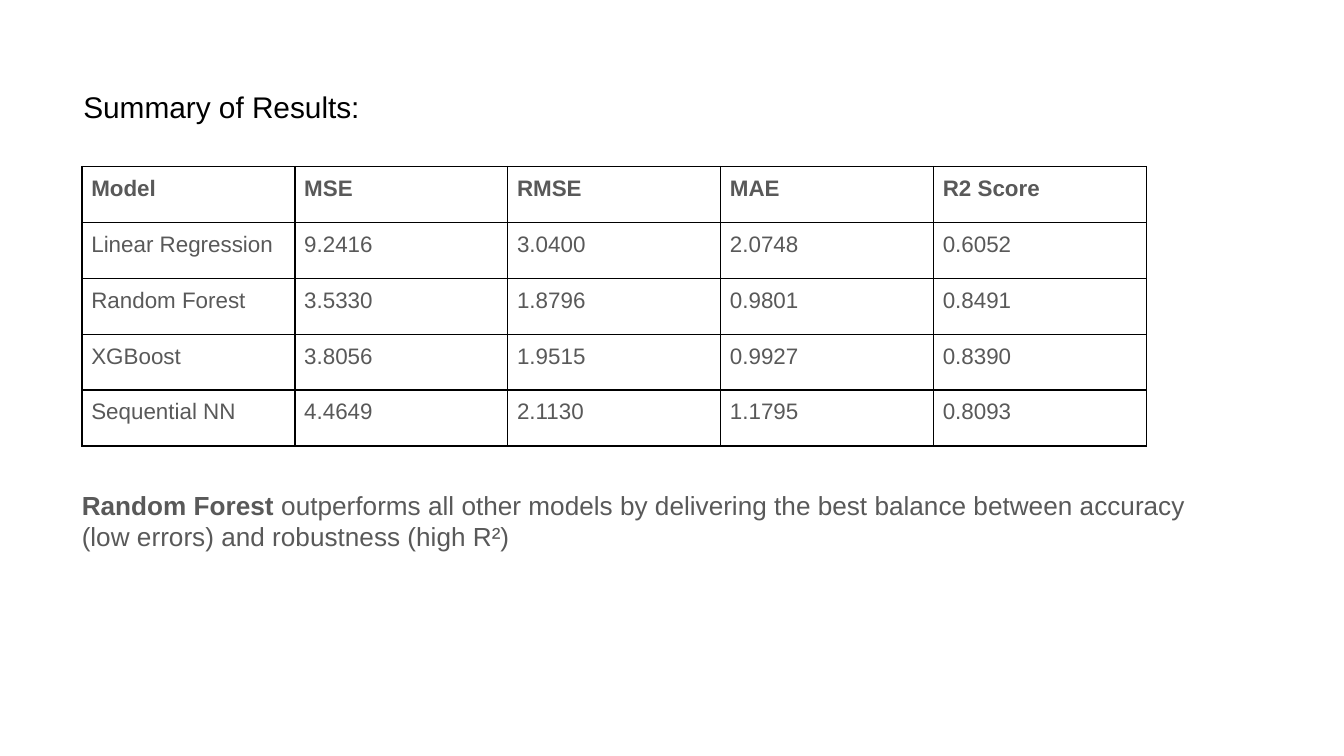
from lxml.etree import SubElement
from pptx import Presentation
from pptx.dml.color import RGBColor
from pptx.enum.text import MSO_ANCHOR, MSO_AUTO_SIZE, PP_ALIGN
from pptx.oxml.ns import qn
from pptx.util import Inches, Pt

COLORS = {"title": "000000", "text": "595959", "border": "000000"}
FONT = "Arial"
SLIDE_WIDTH = 10
TABLE_WIDTH = 7.92
TABLE_HEIGHT = 2.08
RESULTS = [
    ["Model", "MSE", "RMSE", "MAE", "R2 Score"],
    ["Linear Regression", "9.2416", "3.0400", "2.0748", "0.6052"],
    ["Random Forest", "3.5330", "1.8796", "0.9801", "0.8491"],
    ["XGBoost", "3.8056", "1.9515", "0.9927", "0.8390"],
    ["Sequential NN", "4.4649", "2.1130", "1.1795", "0.8093"],
]


def format_paragraph(paragraph, size, color):
    paragraph.alignment = PP_ALIGN.LEFT
    paragraph.font.name = FONT
    paragraph.font.size = Pt(size)
    paragraph.font.color.rgb = RGBColor.from_string(COLORS[color])


def format_frame(frame):
    frame.word_wrap = True
    frame.auto_size = MSO_AUTO_SIZE.NONE
    frame.vertical_anchor = MSO_ANCHOR.TOP
    frame.margin_left = frame.margin_right = Inches(0.1)
    frame.margin_top = frame.margin_bottom = Inches(0.1)


def set_title(slide, text):
    title = slide.shapes.title
    title.left, title.top = Inches(0.52), Inches(0.52)
    title.width, title.height = Inches(9.14), Inches(0.6)
    format_frame(title.text_frame)
    title.text_frame.text = text
    paragraph = title.text_frame.paragraphs[0]
    paragraph.line_spacing = 1.15
    format_paragraph(paragraph, 16, "title")


def add_borders(cell):
    properties = cell._tc.get_or_add_tcPr()
    for position, side in enumerate(("a:lnL", "a:lnR", "a:lnT", "a:lnB")):
        line = SubElement(properties, qn(side), w=str(Pt(1)))
        fill = SubElement(line, qn("a:solidFill"))
        SubElement(fill, qn("a:srgbClr"), val=COLORS["border"])
        properties.insert(position, line)


def fill_cell(cell, text, bold):
    cell.fill.background()
    cell.margin_left = cell.margin_right = Inches(0.07)
    cell.margin_top = cell.margin_bottom = Inches(0.07)
    cell.text = text
    paragraph = cell.text_frame.paragraphs[0]
    format_paragraph(paragraph, 12, "text")
    paragraph.font.bold = bold
    add_borders(cell)


def add_results_table(slide, rows):
    table = slide.shapes.add_table(
        len(rows), len(rows[0]), Inches(0.61), Inches(1.24),
        Inches(TABLE_WIDTH), Inches(TABLE_HEIGHT),
    ).table
    table.first_row = False
    table.horz_banding = False
    for row_index, values in enumerate(rows):
        for column_index, value in enumerate(values):
            fill_cell(table.cell(row_index, column_index), value, row_index == 0)


def add_conclusion(slide, runs):
    box = slide.shapes.add_textbox(Inches(0.51), Inches(3.54), Inches(8.55), Inches(1.01))
    format_frame(box.text_frame)
    paragraph = box.text_frame.paragraphs[0]
    format_paragraph(paragraph, 14, "text")
    for text, bold in runs:
        run = paragraph.add_run()
        run.text = text
        run.font.bold = bold


def main():
    presentation = Presentation()
    presentation.slide_width = Inches(SLIDE_WIDTH)
    presentation.slide_height = Inches(SLIDE_WIDTH * 9 / 16)
    slide = presentation.slides.add_slide(presentation.slide_layouts.get_by_name("Title Only"))
    set_title(slide, "Summary of Results:")
    add_results_table(slide, RESULTS)
    add_conclusion(slide, [
        ("Random Forest", True),
        (" outperforms all other models by delivering the best balance between accuracy "
         "(low errors) and robustness (high R²)", False),
    ])
    presentation.save("out.pptx")


if __name__ == "__main__":
    main()
